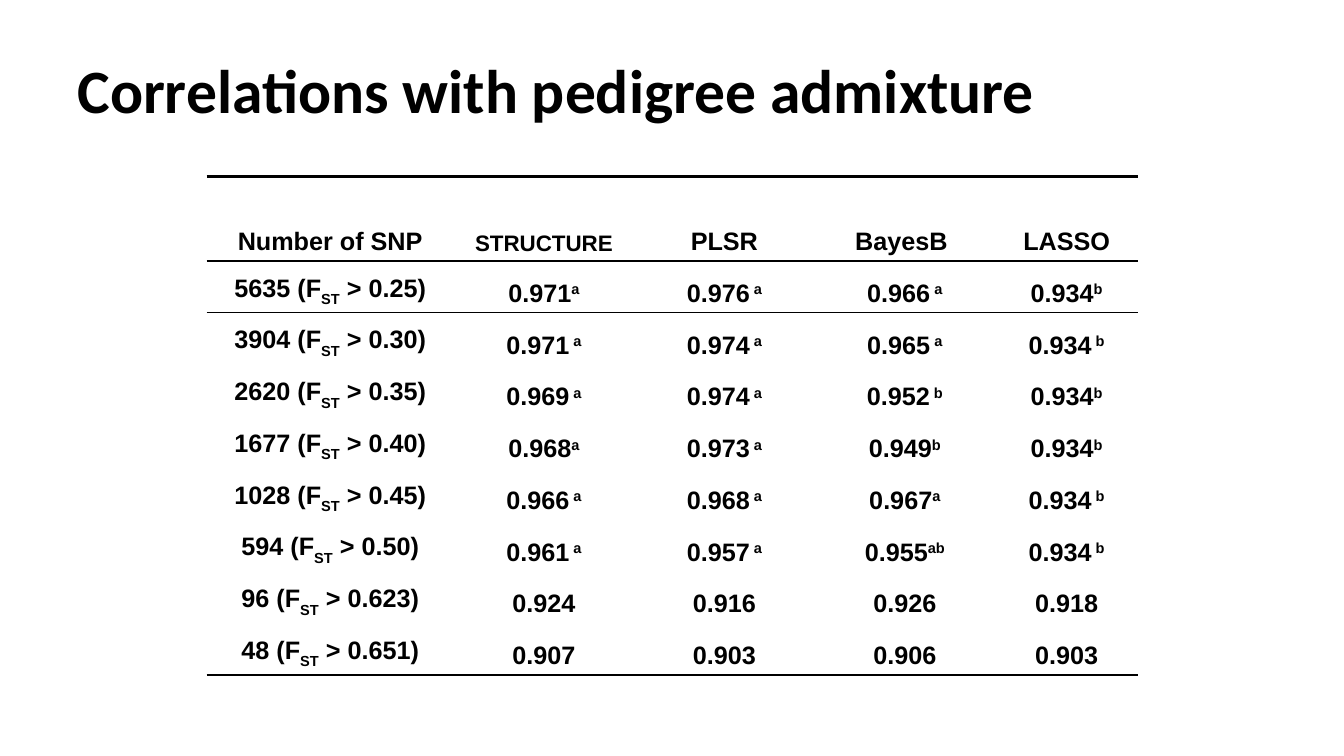
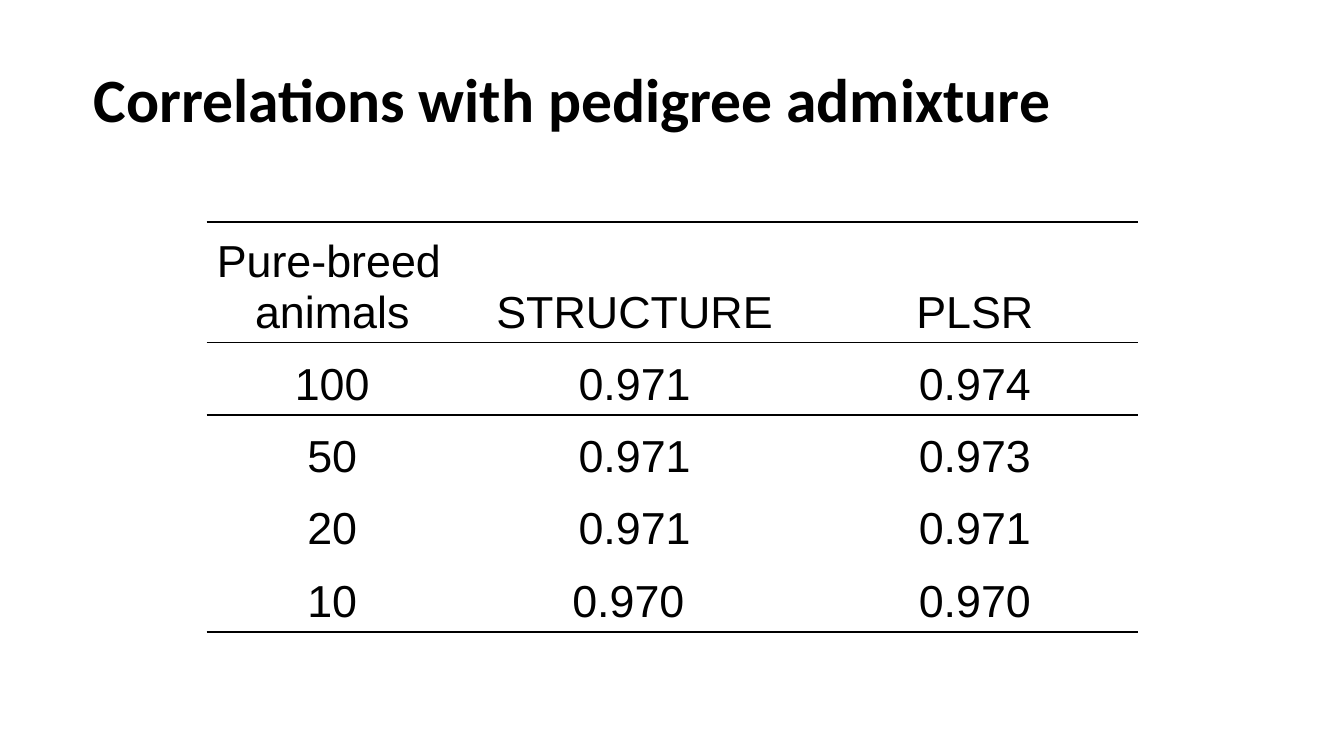
from lxml import etree
from pptx import Presentation
from pptx.dml.color import RGBColor
from pptx.enum.text import MSO_ANCHOR, PP_ALIGN
from pptx.oxml.ns import qn
from pptx.util import Inches, Pt

CENTER, LEFT = PP_ALIGN.CENTER, PP_ALIGN.LEFT
MIDDLE, BOTTOM = MSO_ANCHOR.MIDDLE, MSO_ANCHOR.BOTTOM
BLACK = "000000"
TITLE_FONT, BODY_FONT = "Calibri", "Arial"
TITLE = "Correlations with pedigree admixture"
PLAIN_TABLE = "{2D5ABB26-0587-4C30-8999-92F81FD0307C}"
TABLE_LEFT, HANG = 2.05, 0.38
SUB, SUPER = -30000, 30000

# "|" encloses the raised or lowered part of a cell
SLIDES = [
    {
        "title_at": (0.67, 0.3),
        "top": 1.75, "cols": [2.45, 1.79, 1.79, 1.79, 1.42],
        "header_height": 0.84, "body_height": 4.11,
        "size": 18, "bold": True, "last_rule": 1,
        "header_sizes": {"STRUCTURE": 16}, "left_aligned": [],
        "rows": [
            ("Number of SNP", "STRUCTURE", "PLSR", "BayesB ", "LASSO"),
            ("5635 (F|ST| > 0.25)", "0.971|a", "0.976| a", "0.966| a", "0.934|b"),
            ("3904 (F|ST| > 0.30)", "0.971| a", "0.974| a", "0.965| a", "0.934| b"),
            ("2620 (F|ST| > 0.35)", "0.969| a", "0.974| a", "0.952| b", "0.934|b"),
            ("1677 (F|ST| > 0.40)", "0.968|a", "0.973| a", "0.949|b", "0.934|b"),
            ("1028 (F|ST| > 0.45)", "0.966| a", "0.968| a", "0.967|a", "0.934| b"),
            ("594 (F|ST| > 0.50)", "0.961| a", "0.957| a", "0.955|ab", "0.934| b"),
            ("96 (F|ST| > 0.623)", "0.924", "0.916", "0.926", "0.918"),
            ("48 (F|ST| > 0.651)", "0.907", "0.903", "0.906", "0.903"),
        ],
    },
    {
        "title_at": (0.83, 0.39),
        "top": 2.2, "cols": [2.49, 3.51, 3.24],
        "header_height": 1.2, "body_height": 2.87,
        "size": 32, "bold": False, "last_rule": 2,
        "header_sizes": {}, "left_aligned": ["Pure-breed animals"],
        "rows": [
            ("Pure-breed animals", "STRUCTURE", "PLSR"),
            ("100", "0.971", "0.974"),
            ("50", "0.971", "0.973"),
            ("20", "0.971", "0.971"),
            ("10", "0.970 ", "0.970"),
        ],
    },
]


def color(value):
    return RGBColor.from_string(value)


def write(p, text, size, font=BODY_FONT, bold=False, align=LEFT,
          script=SUPER, hang=0, spacing=None):
    p.alignment = align
    if spacing:
        p.line_spacing = spacing
    if hang:
        pPr = p._p.get_or_add_pPr()
        pPr.set("marL", str(Inches(hang)))
        pPr.set("indent", str(-Inches(hang)))
    for i, part in enumerate(text.split("|")):
        r = p.add_run()
        r.text = part
        r.font.name, r.font.size, r.font.bold = font, Pt(size), bold
        r.font.color.rgb = color(BLACK)
        if i % 2:
            r.font._element.set("baseline", str(script))


def rule(cell, side, width):
    ln = etree.SubElement(cell._tc.get_or_add_tcPr(), qn("a:ln" + side), w=str(Pt(width)))
    fill = etree.SubElement(ln, qn("a:solidFill"))
    etree.SubElement(fill, qn("a:srgbClr"), val=BLACK)


def add_title(s, left, top):
    tf = s.shapes.add_textbox(Inches(left), Inches(top), Inches(12), Inches(1.25)).text_frame
    tf.word_wrap = True
    tf.vertical_anchor = MIDDLE
    write(tf.paragraphs[0], TITLE, 44, font=TITLE_FONT, bold=True, spacing=0.9)


def add_rows(s, spec_):
    rows, cols = spec_["rows"], spec_["cols"]
    last = len(rows) - 1
    height = spec_["header_height"] + spec_["body_height"]
    table = s.shapes.add_table(len(rows), len(cols), Inches(TABLE_LEFT), Inches(spec_["top"]),
                               Inches(sum(cols)), Inches(height)).table
    table.first_row = table.horz_banding = False
    table._tbl.tblPr.find(qn("a:tableStyleId")).text = PLAIN_TABLE
    for column, width in zip(table.columns, cols):
        column.width = Inches(width)
    for i, texts in enumerate(rows):
        table.rows[i].height = Inches(spec_["body_height"] / last if i else spec_["header_height"])
        for j, text in enumerate(texts):
            cell = table.cell(i, j)
            cell.vertical_anchor = BOTTOM
            if i == 0:
                rule(cell, "T", 2)
                rule(cell, "B", 1)
            elif i == 1:
                rule(cell, "T", 1)
            elif i == last:
                rule(cell, "B", spec_["last_rule"])
            cell.fill.background()
            write(cell.text_frame.paragraphs[0], text,
                  spec_["header_sizes"].get(text, spec_["size"]), bold=spec_["bold"],
                  align=LEFT if text in spec_["left_aligned"] else CENTER,
                  script=SUPER if j else SUB, hang=HANG)


def main():
    prs = Presentation()
    prs.slide_width, prs.slide_height = Inches(13.33), Inches(7.5)
    for content in SLIDES:
        s = prs.slides.add_slide(prs.slide_layouts[6])
        add_title(s, *content["title_at"])
        add_rows(s, content)
    prs.save("out.pptx")


if __name__ == "__main__":
    main()
